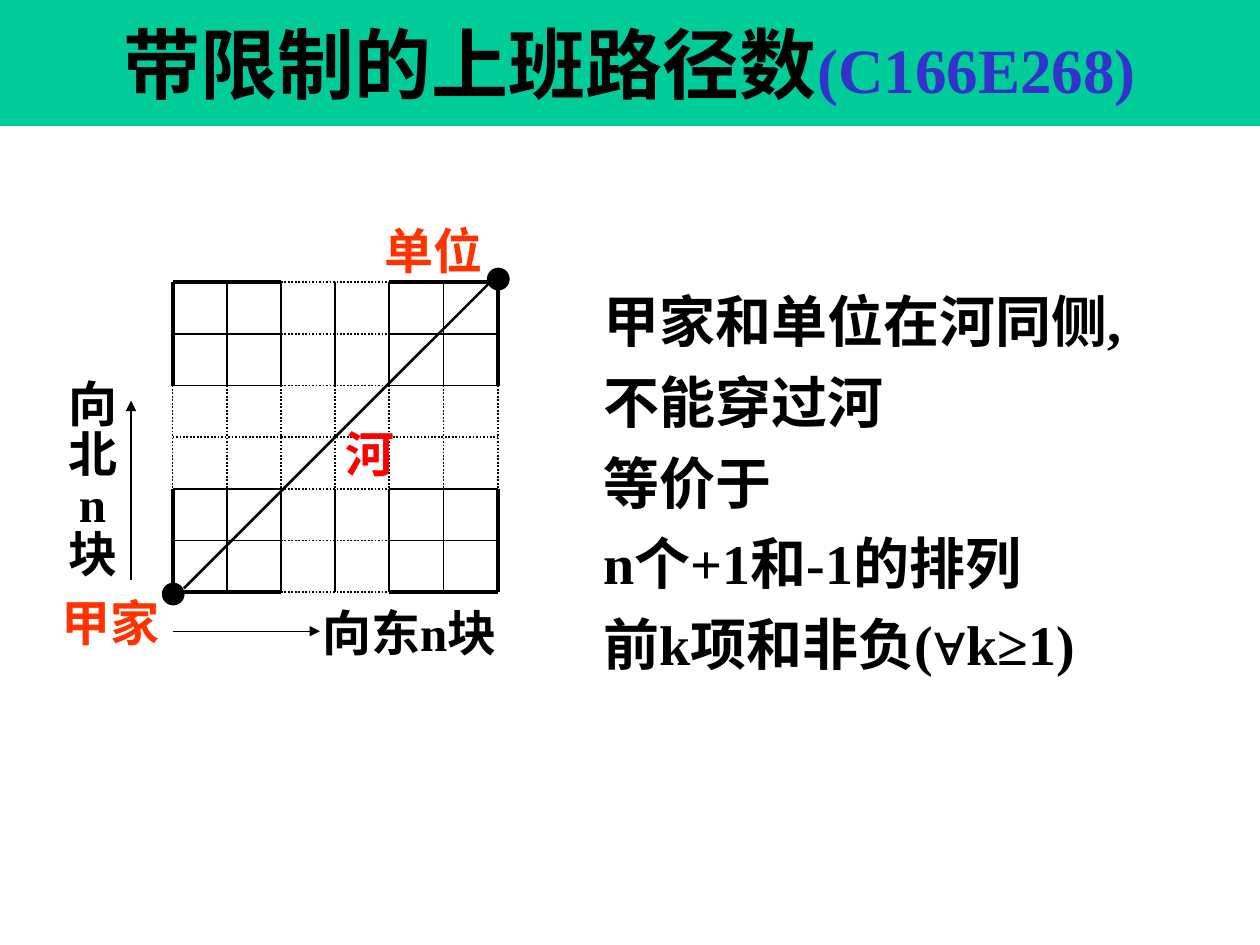
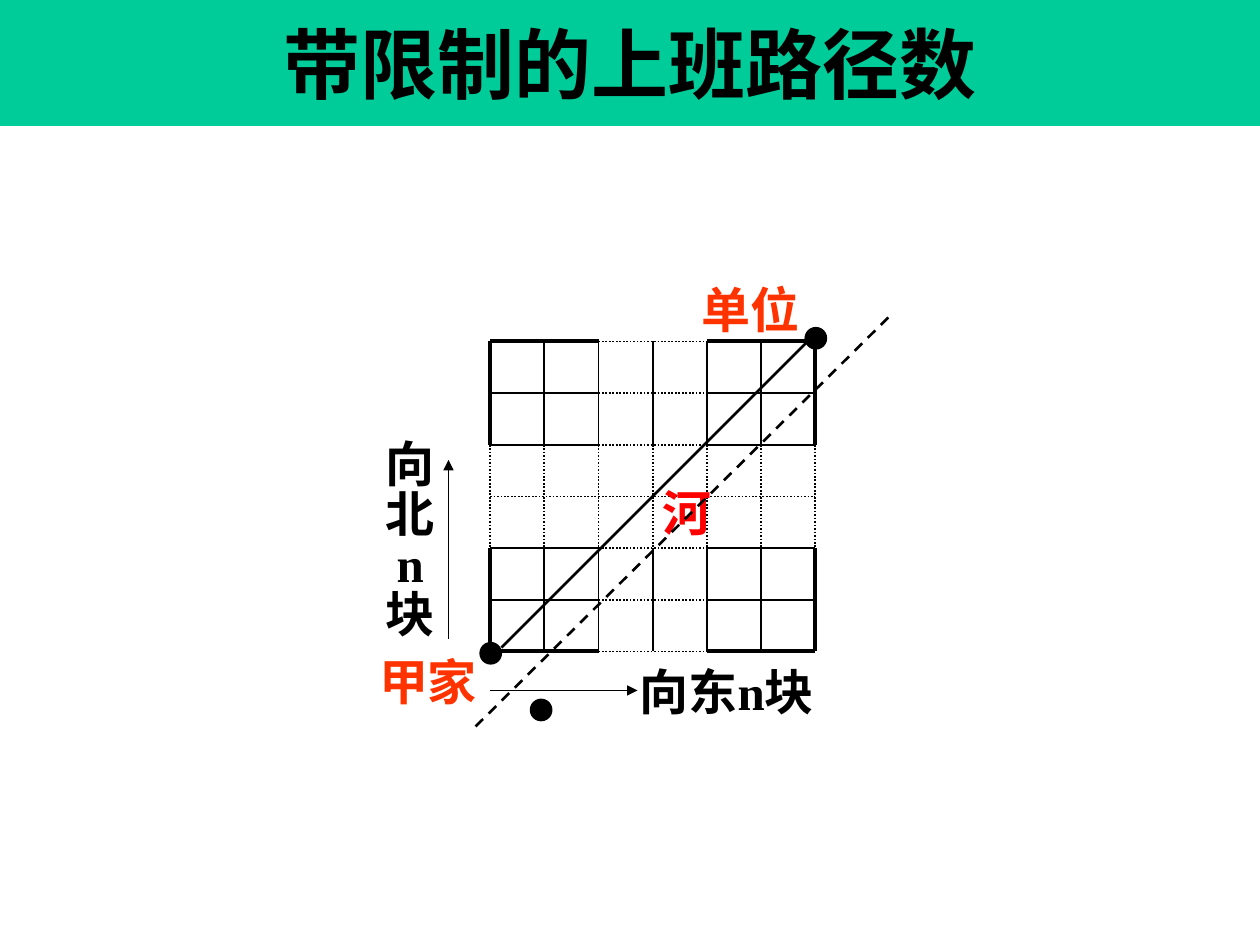
from dataclasses import dataclass
from typing import Any

from pptx import Presentation
from pptx.dml.color import RGBColor
from pptx.enum.dml import MSO_LINE_DASH_STYLE as Dash
from pptx.enum.shapes import MSO_CONNECTOR, MSO_SHAPE
from pptx.enum.text import MSO_ANCHOR, MSO_AUTO_SIZE as AutoSize, PP_ALIGN as Align
from pptx.oxml.ns import qn
from pptx.util import Inches, Pt

# Shared look
FONT = "Times New Roman"
BLACK, BAND, BLUE = "000000", "00CC99", "3333CC"
ORANGE, RED = "FF3300", "FF0000"
TITLE = "带限制的上班路径数"

# Street grid: the middle streets are dotted
CELLS = 6
CELL_WIDTH, CELL_HEIGHT = 0.43, 0.41
GAP_START, GAP_END = 2, 4
THIN, THICK = 1, 2.25
DOT_SIZE = 0.17


@dataclass(frozen=True)
class Line:
    start: tuple[float, float]
    end: tuple[float, float]
    width: float = THIN
    dash: Any = None
    arrow: bool = False


@dataclass(frozen=True)
class Label:
    text: str
    left: float
    top: float
    width: float
    height: float = 0.57
    color: str = BLACK
    align: Any = Align.LEFT
    spacing: float = 1.0


# Positions are measured from the grid's top left corner
MAP_LINES = [
    Line((0, 2.77), (1.17, 2.77), 0.75, arrow=True),
    Line((-0.33, 2.36), (-0.33, 0.94), 0.75, arrow=True),
    Line((2.53, -0.01), (0.09, 2.43), 1.5),
]
MAP_DOTS = [(-0.08, 2.39), (2.5, -0.11)]
MAP_LABELS = [
    Label("甲家", -0.98, 2.41, 1.08, color=ORANGE),
    Label("单位", 1.58, -0.54, 1.08, color=ORANGE),
    Label("向东n块", 1.09, 2.49, 1.69),
    Label("向北n块", -1.02, 0.75, 0.77, 1.69, align=Align.CENTER, spacing=0.85),
    Label("河", 1.27, 1.07, 0.69, color=RED),
]
CONDITIONS = ["甲家和单位在河同侧,", "不能穿过河", "等价于", "n个+1和-1的排列", "前k项和非负(∀k≥1)"]


def rgb(value: str) -> RGBColor:
    return RGBColor.from_string(value)


def add_run(paragraph, text: str, size: float, color: str = BLACK) -> None:
    run = paragraph.add_run()
    run.text = text
    for name, value in {"name": FONT, "size": Pt(size), "bold": True}.items():
        setattr(run.font, name, value)
    run.font.color.rgb = rgb(color)


def add_title(slide, suffix: str = "") -> None:
    title = slide.shapes.title
    box = {"left": 0, "top": 0, "width": Inches(10), "height": Inches(1)}
    for name, value in box.items():
        setattr(title, name, value)
    title.fill.solid()
    title.fill.fore_color.rgb = rgb(BAND)
    frame = title.text_frame
    frame.auto_size = AutoSize.NONE
    frame.vertical_anchor = MSO_ANCHOR.MIDDLE
    paragraph = frame.paragraphs[0]
    paragraph.alignment = Align.CENTER
    add_run(paragraph, TITLE, 44)
    if suffix:
        add_run(paragraph, suffix, 36, BLUE)


def add_line(shapes, line: Line, origin: tuple[float, float] = (0, 0)) -> None:
    ends = [Inches(base + offset) for point in (line.start, line.end)
            for base, offset in zip(origin, point)]
    connector = shapes.add_connector(MSO_CONNECTOR.STRAIGHT, *ends)
    connector.line.color.rgb = rgb(BLACK)
    connector.line.width = Pt(line.width)
    if line.dash:
        connector.line.dash_style = line.dash
    properties = connector._element.spPr
    if line.arrow:
        outline = properties.find(qn("a:ln"))
        outline.append(outline.makeelement(qn("a:tailEnd"), {"type": "triangle"}))
    properties.append(properties.makeelement(qn("a:effectLst"), {}))


def add_dot(shapes, left: float, top: float) -> None:
    size = Inches(DOT_SIZE)
    dot = shapes.add_shape(MSO_SHAPE.OVAL, Inches(left), Inches(top), size, size)
    dot.shadow.inherit = False
    dot.fill.solid()
    dot.fill.fore_color.rgb = rgb(BLACK)
    dot.line.color.rgb = rgb(BLACK)
    dot.line.width = Pt(0.75)


def add_label(shapes, label: Label, origin: tuple[float, float]) -> None:
    box = shapes.add_textbox(
        Inches(origin[0] + label.left), Inches(origin[1] + label.top),
        Inches(label.width), Inches(label.height))
    box.text_frame.word_wrap = True
    paragraph = box.text_frame.paragraphs[0]
    paragraph.alignment = label.align
    paragraph.line_spacing = label.spacing
    add_run(paragraph, label.text, 28, label.color)


def street_lines() -> list[Line]:
    lines = []
    sections = [(0, GAP_START), (GAP_START, GAP_END), (GAP_END, CELLS)]
    for index in range(CELLS + 1):
        solid_width = THICK if index in (0, CELLS) else THIN
        for first, last in sections:
            in_gap = first == GAP_START
            for is_row in (True, False):
                # The middle row is dotted over its whole length
                dotted = in_gap or (is_row and index == CELLS // 2)
                points = [(step, index) if is_row else (index, step) for step in (first, last)]
                start, end = [(x * CELL_WIDTH, y * CELL_HEIGHT) for x, y in points]
                lines.append(Line(start, end, THIN if dotted else solid_width,
                                  Dash.ROUND_DOT if dotted else None))
    return lines


def add_map(slide, origin: tuple[float, float]) -> None:
    shapes = slide.shapes.add_group_shape().shapes
    for line in street_lines() + MAP_LINES:
        add_line(shapes, line, origin)
    for left, top in MAP_DOTS:
        add_dot(shapes, origin[0] + left, origin[1] + top)
    for label in MAP_LABELS:
        add_label(shapes, label, origin)


def add_conditions(slide) -> None:
    box = slide.shapes.add_textbox(Inches(4.69), Inches(2.12), Inches(4.44), Inches(3.3))
    frame = box.text_frame
    frame.word_wrap = False
    frame.auto_size = AutoSize.SHAPE_TO_FIT_TEXT
    for index, text in enumerate(CONDITIONS):
        paragraph = frame.add_paragraph() if index else frame.paragraphs[0]
        paragraph.line_spacing = 1.2
        add_run(paragraph, text, 32)


def main() -> None:
    presentation = Presentation()
    presentation.slide_width = Inches(10)
    presentation.slide_height = Inches(7.5)
    title_only = presentation.slide_layouts[5]

    # Problem and equivalent statement
    slide = presentation.slides.add_slide(title_only)
    add_title(slide, "(C166E268)")
    add_conditions(slide)
    add_map(slide, (1.37, 2.24))

    # Shifted diagonal and mirrored starting point
    slide = presentation.slides.add_slide(title_only)
    add_title(slide)
    add_map(slide, (3.89, 2.71))
    add_line(slide.shapes, Line((7.05, 2.52), (3.74, 5.8), 1.5, Dash.DASH))
    add_dot(slide.shapes, 4.21, 5.55)

    presentation.save("out.pptx")


if __name__ == "__main__":
    main()
